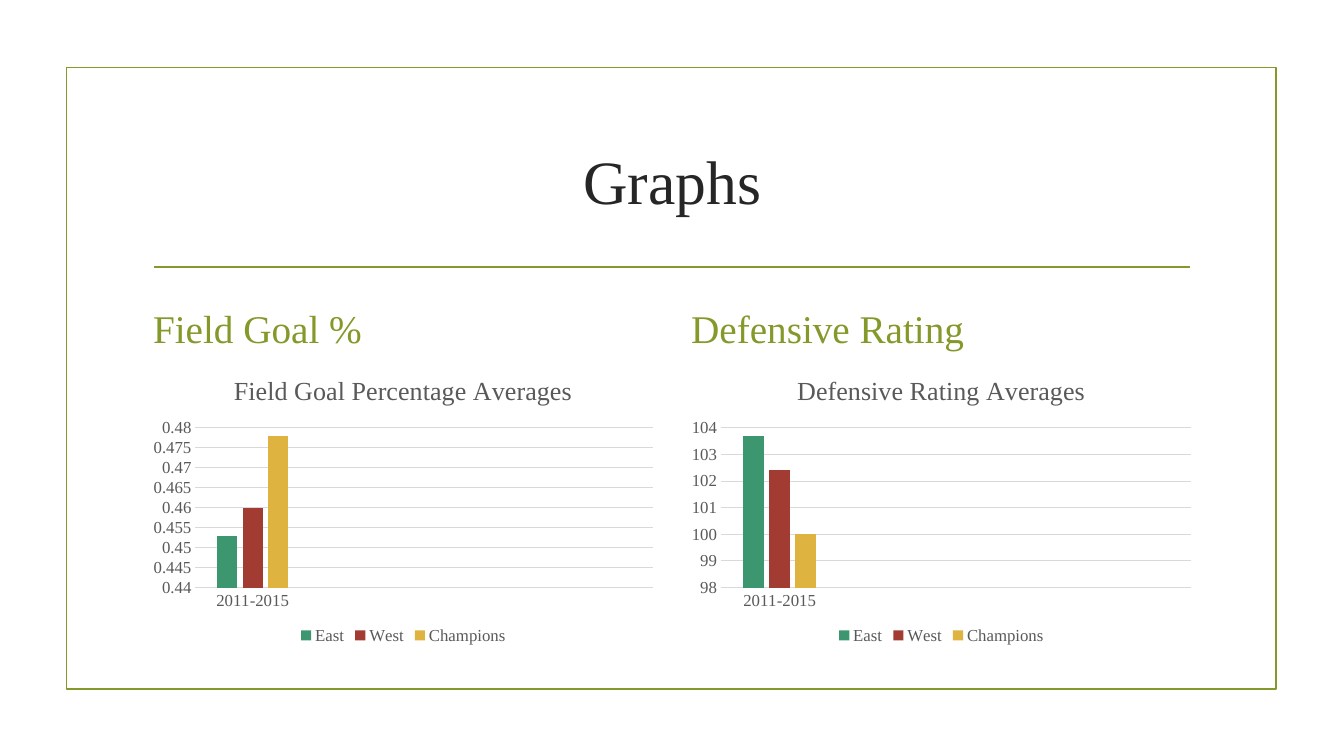
from dataclasses import dataclass

from lxml import etree
from pptx import Presentation
from pptx import util as u
from pptx.chart import data as cd
from pptx.dml.color import RGBColor
from pptx.enum import chart as ce, shapes, text
from pptx.oxml.ns import qn

WHITE = RGBColor(0xFF, 0xFF, 0xFF)
OLIVE = RGBColor(0x83, 0x99, 0x2A)
INK = RGBColor(0x26, 0x26, 0x26)
GREY = RGBColor(0x59, 0x59, 0x59)
GRID = RGBColor(0xD9, 0xD9, 0xD9)
SERIES = {
    "East": RGBColor(0x3C, 0x97, 0x70),
    "West": RGBColor(0xA2, 0x3C, 0x33),
    "Champions": RGBColor(0xDE, 0xB3, 0x40),
}
FONT = "Times New Roman"
PERIODS = ["2011-2015", "", "", ""]
COLUMN_LEFT, COLUMN_STEP, COLUMN_WIDTH = 3.61, 13.56, 13.11


@dataclass(frozen=True)
class Panel:
    heading: str
    title: str
    averages: tuple[float, ...]
    low: float
    high: float
    step: float


PANELS = [
    Panel("Field Goal %", "Field Goal Percentage Averages",
          (0.453, 0.46, 0.478), 0.44, 0.48, 0.005),
    Panel("Defensive Rating", "Defensive Rating Averages",
          (103.7, 102.4, 100), 98, 104, 1),
]


def set_font(font, size: float, color: RGBColor) -> None:
    formats = {"name": FONT, "size": u.Pt(size), "bold": False}
    for name, value in formats.items():
        setattr(font, name, value)
    font.color.rgb = color


def set_line(line, color: RGBColor, width: float) -> None:
    line.color.rgb = color
    line.width = u.Pt(width)


def add_text(s, box: tuple[float, ...], words: str, size: float,
             color: RGBColor, **formats) -> None:
    """Add one paragraph; formats holds its anchor, alignment and spacing."""
    tf = s.shapes.add_textbox(*map(u.Cm, box)).text_frame
    tf.word_wrap = True
    tf.vertical_anchor = formats.pop("anchor")
    p = tf.paragraphs[0]
    for name, value in formats.items():
        setattr(p, name, value)
    r = p.add_run()
    r.text = words
    set_font(r.font, size, color)


def add_frame(s) -> None:
    """Add the border and the rule under the title."""
    sp = s.shapes.add_shape(shapes.MSO_SHAPE.RECTANGLE, u.Cm(1.68), u.Cm(1.7),
                            u.Cm(30.48), u.Cm(15.67))
    sp.shadow.inherit = False
    sp.fill.background()
    set_line(sp.line, OLIVE, 1.25)
    rule = s.shapes.add_connector(shapes.MSO_CONNECTOR.STRAIGHT, u.Cm(3.89),
                                  u.Cm(6.73), u.Cm(30), u.Cm(6.73))
    set_line(rule.line, OLIVE, 1.25)
    etree.SubElement(rule._element.spPr, qn("a:effectLst"))


def add_column_chart(s, panel: Panel, left: float) -> None:
    data = cd.CategoryChartData()
    data.categories = PERIODS
    for name, average in zip(SERIES, panel.averages):
        data.add_series(name, [average] + [None] * (len(PERIODS) - 1))
    chart = s.shapes.add_chart(
        ce.XL_CHART_TYPE.COLUMN_CLUSTERED, u.Cm(left), u.Cm(9.02),
        u.Cm(COLUMN_WIDTH), u.Cm(7.32), data).chart
    set_font(chart.font, 12, GREY)

    chart.has_title = True
    p = chart.chart_title.text_frame.paragraphs[0]
    r = p.add_run()
    r.text = panel.title
    set_font(r.font, 18.6, GREY)
    chart.chart_title.include_in_layout = False

    chart.has_legend = True
    chart.legend.position = ce.XL_LEGEND_POSITION.BOTTOM
    chart.legend.include_in_layout = False
    set_font(chart.legend.font, 12, GREY)

    plot = chart.plots[0]
    plot_formats = {"gap_width": 219, "overlap": -27, "vary_by_categories": False}
    for name, value in plot_formats.items():
        setattr(plot, name, value)
    for series, color in zip(plot.series, SERIES.values()):
        series.format.fill.solid()
        series.format.fill.fore_color.rgb = color

    for axis in (chart.category_axis, chart.value_axis):
        axis.major_tick_mark = axis.minor_tick_mark = ce.XL_TICK_MARK.NONE
        set_font(axis.tick_labels.font, 12, GREY)
    set_line(chart.category_axis.format.line, GRID, 0.75)
    values = chart.value_axis
    scale = {"minimum_scale": panel.low, "maximum_scale": panel.high,
             "major_unit": panel.step, "has_major_gridlines": True}
    for name, value in scale.items():
        setattr(values, name, value)
    values.format.line.fill.background()
    set_line(values.major_gridlines.format.line, GRID, 0.75)


def main() -> None:
    prs = Presentation()
    prs.slide_width, prs.slide_height = u.Cm(33.87), u.Cm(19.05)
    s = prs.slides.add_slide(prs.slide_layouts[6])
    s.background.fill.solid()
    s.background.fill.fore_color.rgb = WHITE
    add_frame(s)
    add_text(s, (COLUMN_LEFT, 2.72, 26.67, 3.63), "Graphs", 44, INK,
             anchor=text.MSO_ANCHOR.MIDDLE, alignment=text.PP_ALIGN.CENTER)
    for i, panel in enumerate(PANELS):
        left = COLUMN_LEFT + i * COLUMN_STEP
        add_text(s, (left, 7.39, COLUMN_WIDTH, 1.6), panel.heading, 28, OLIVE,
                 anchor=text.MSO_ANCHOR.BOTTOM, space_after=u.Pt(6))
        add_column_chart(s, panel, left)
    prs.save("out.pptx")


if __name__ == "__main__":
    main()
